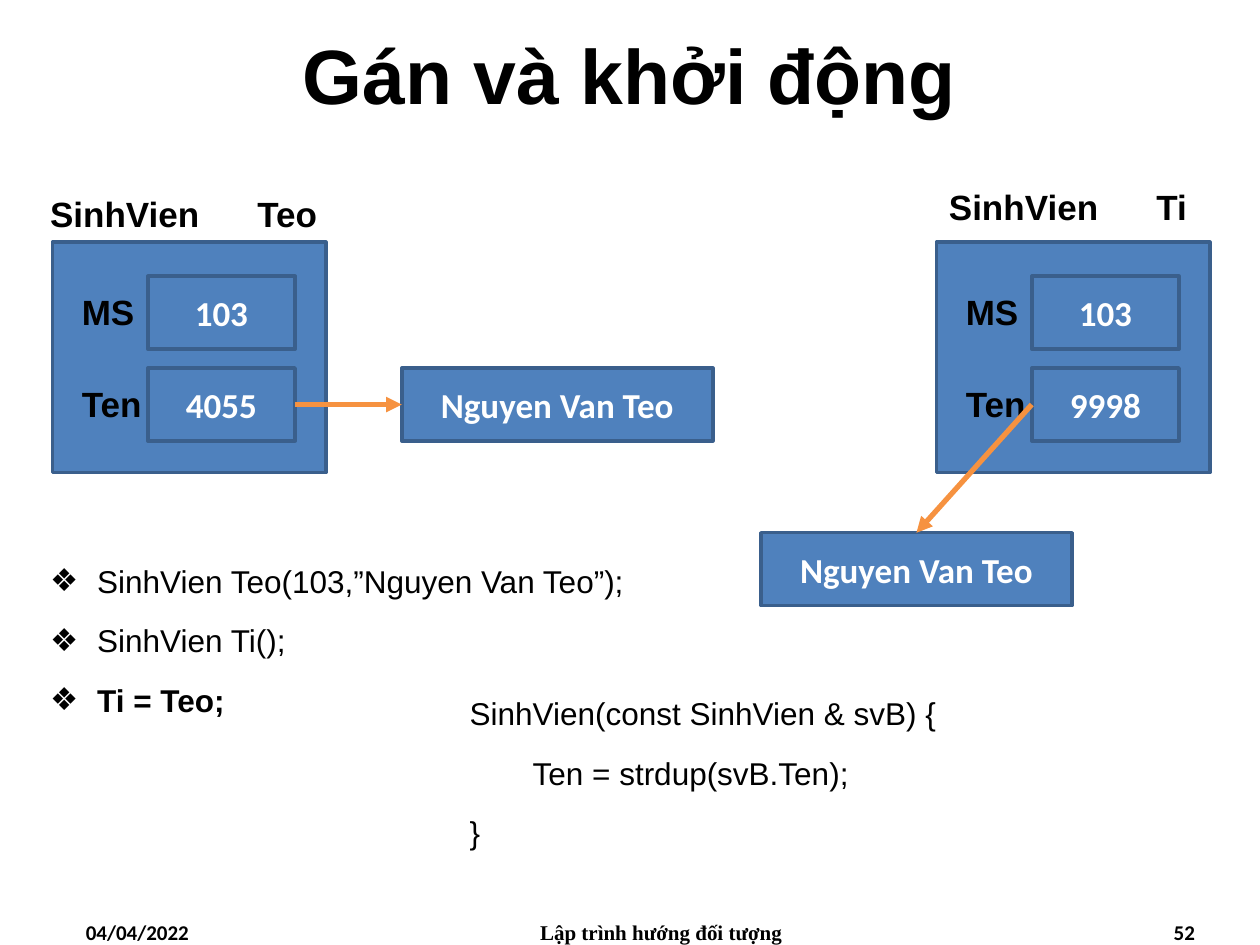
from lxml import etree
from pptx import Presentation
from pptx.dml.color import RGBColor
from pptx.enum.shapes import MSO_CONNECTOR, MSO_SHAPE
from pptx.enum.text import MSO_ANCHOR, PP_ALIGN
from pptx.oxml.ns import qn
from pptx.util import Cm, Pt

BLACK = RGBColor(0x00, 0x00, 0x00)
WHITE = RGBColor(0xFF, 0xFF, 0xFF)
BLUE = RGBColor(0x4F, 0x81, 0xBD)
DARK_BLUE = RGBColor(0x3A, 0x5F, 0x8C)
ORANGE = RGBColor(0xF6, 0x92, 0x40)

LEFT, CENTER = PP_ALIGN.LEFT, PP_ALIGN.CENTER
RIGHT, JUSTIFY = PP_ALIGN.RIGHT, PP_ALIGN.JUSTIFY
TOP, MIDDLE = MSO_ANCHOR.TOP, MSO_ANCHOR.MIDDLE
STRAIGHT, RECTANGLE = MSO_CONNECTOR.STRAIGHT, MSO_SHAPE.RECTANGLE
TOP_SIDE, LEFT_SIDE, RIGHT_SIDE = 0, 1, 3

FIELD_HEIGHT = 1.47
FIELD_PITCH = 2.33


def add_span(para, text, size, font="Arial", bold=False, color=BLACK):
    span = para.add_run()
    span.text = text
    span.font.size = Pt(size)
    span.font.name = font
    span.font.bold = bold
    span.font.color.rgb = color


def add_text_box(page, left, top, width, height, anchor=TOP, wrap=True):
    box = page.shapes.add_textbox(Cm(left), Cm(top), Cm(width), Cm(height))
    box.text_frame.word_wrap = wrap
    box.text_frame.vertical_anchor = anchor
    return box.text_frame


def add_label(page, text, left, top, width, height, size, align=LEFT,
              font="Arial", anchor=TOP, wrap=True):
    frame = add_text_box(page, left, top, width, height, anchor, wrap)
    para = frame.paragraphs[0]
    para.alignment = align
    add_span(para, text, size, font, bold=True)
    return para


def add_rectangle(page, left, top, width, height, text=None):
    box = page.shapes.add_shape(RECTANGLE, Cm(left), Cm(top),
                                Cm(width), Cm(height))
    box.shadow.inherit = False
    box.fill.solid()
    box.fill.fore_color.rgb = BLUE
    box.line.color.rgb = DARK_BLUE
    box.line.width = Pt(2)
    if text:
        box.text_frame.vertical_anchor = MIDDLE
        para = box.text_frame.paragraphs[0]
        para.alignment = CENTER
        add_span(para, text, 20, "Calibri", True, WHITE)
    return box


def add_pointer(page, source, source_side, target, target_side):
    arrow = page.shapes.add_connector(STRAIGHT, 0, 0, 0, 0)
    arrow.begin_connect(source, source_side)
    arrow.end_connect(target, target_side)
    arrow.line.color.rgb = ORANGE
    arrow.line.width = Pt(3)
    etree.SubElement(arrow.line._get_or_add_ln(), qn("a:tailEnd"),
                     type="triangle")
    etree.SubElement(arrow._element.spPr, qn("a:effectLst"))


def add_object(page, left, top, fields):
    """Draw an object with its labelled fields; return the last field."""
    add_rectangle(page, left, top, 5.51, 4.65)
    for row, (name, value, label_width) in enumerate(fields):
        field_top = top + 0.69 + row * (FIELD_PITCH - 0.48)
        field = add_rectangle(page, left + 1.92, field_top, 2.97,
                              FIELD_HEIGHT, value)
        add_label(page, name, left + 0.34, field_top + 0.17, label_width,
                  1.11, 20, wrap=False)
    return field


def add_heading(page, type_name, name, left, top, width):
    para = add_label(page, f"{type_name}\t{name}", left, top, width, 1.11, 20)
    tabs = etree.SubElement(para._p.get_or_add_pPr(), qn("a:tabLst"))
    etree.SubElement(tabs, qn("a:tab"), pos=str(Cm(4.18)), algn="l")


def add_code(page, left, top, width, height, lines, bullet=None):
    """Write code lines given as (text, indent, bold)."""
    frame = add_text_box(page, left, top, width, height)
    for index, (text, indent, bold) in enumerate(lines):
        para = frame.add_paragraph() if index else frame.paragraphs[0]
        properties = para._p.get_or_add_pPr()
        properties.set("marL", str(Cm(indent)))
        if bullet:
            properties.set("indent", str(-Cm(indent)))
            etree.SubElement(properties, qn("a:buFont"), typeface="Arial")
            etree.SubElement(properties, qn("a:buChar"), char=bullet)
        para.alignment = JUSTIFY
        para.line_spacing = 1.3
        para.space_before = Pt(3 if index else 0)
        para.space_after = Pt(3)
        add_span(para, text, 18, bold=bold)


def add_footer(page, top, height):
    add_label(page, "04/04/2022", 1.48, top, 5.92, height, 12, LEFT, "Calibri")
    add_label(page, "Lập trình hướng đối tượng", 9.31, top, 8.04, height, 12,
              CENTER, "Times New Roman")
    add_label(page, "52", 18.42, top, 5.92, height, 12, RIGHT, "Calibri")


def main():
    deck = Presentation()
    deck.slide_width, deck.slide_height = Cm(25.4), Cm(19.05)
    page = deck.slides.add_slide(deck.slide_layouts[6])

    # Title
    add_label(page, "Gán và khởi động", 0, 0, 25.4, 2.96, 44, CENTER,
              anchor=MIDDLE)

    # Object Teo and the name it points to
    add_heading(page, "SinhVien", "Teo", 0.76, 3.76, 6.86)
    teo_name = add_object(page, 1.06, 4.88,
                          [("MS", "103", 1.57), ("Ten", "4055", 1.73)])
    teo_target = add_rectangle(page, 8.1, 7.42, 6.27, FIELD_HEIGHT,
                               "Nguyen Van Teo")
    add_pointer(page, teo_name, RIGHT_SIDE, teo_target, LEFT_SIDE)

    # Object Ti with its own copy of the name
    add_heading(page, "SinhVien", "Ti", 18.88, 3.61, 5.64)
    ti_name = add_object(page, 18.88, 4.88,
                         [("MS", "103", 1.57), ("Ten", "9998", 1.73)])
    ti_target = add_rectangle(page, 15.34, 10.74, 6.27, FIELD_HEIGHT,
                              "Nguyen Van Teo")
    add_pointer(page, ti_name, LEFT_SIDE, ti_target, TOP_SIDE)

    # Statements and the copy constructor
    add_code(page, 0.76, 10.97, 12.5, 3.61, [
        ("SinhVien Teo(103,”Nguyen Van Teo”);", 0.95, False),
        ("SinhVien Ti();", 0.95, False),
        ("Ti = Teo;", 0.95, True),
    ], bullet="❖")
    add_code(page, 9.22, 13.64, 12.5, 3.61, [
        ("SinhVien(const SinhVien & svB) {", 0, False),
        ("Ten = strdup(svB.Ten);", 1.27, False),
        ("}", 0, False),
    ])

    add_footer(page, 18.42, 0.63)
    deck.save("out.pptx")


if __name__ == "__main__":
    main()
